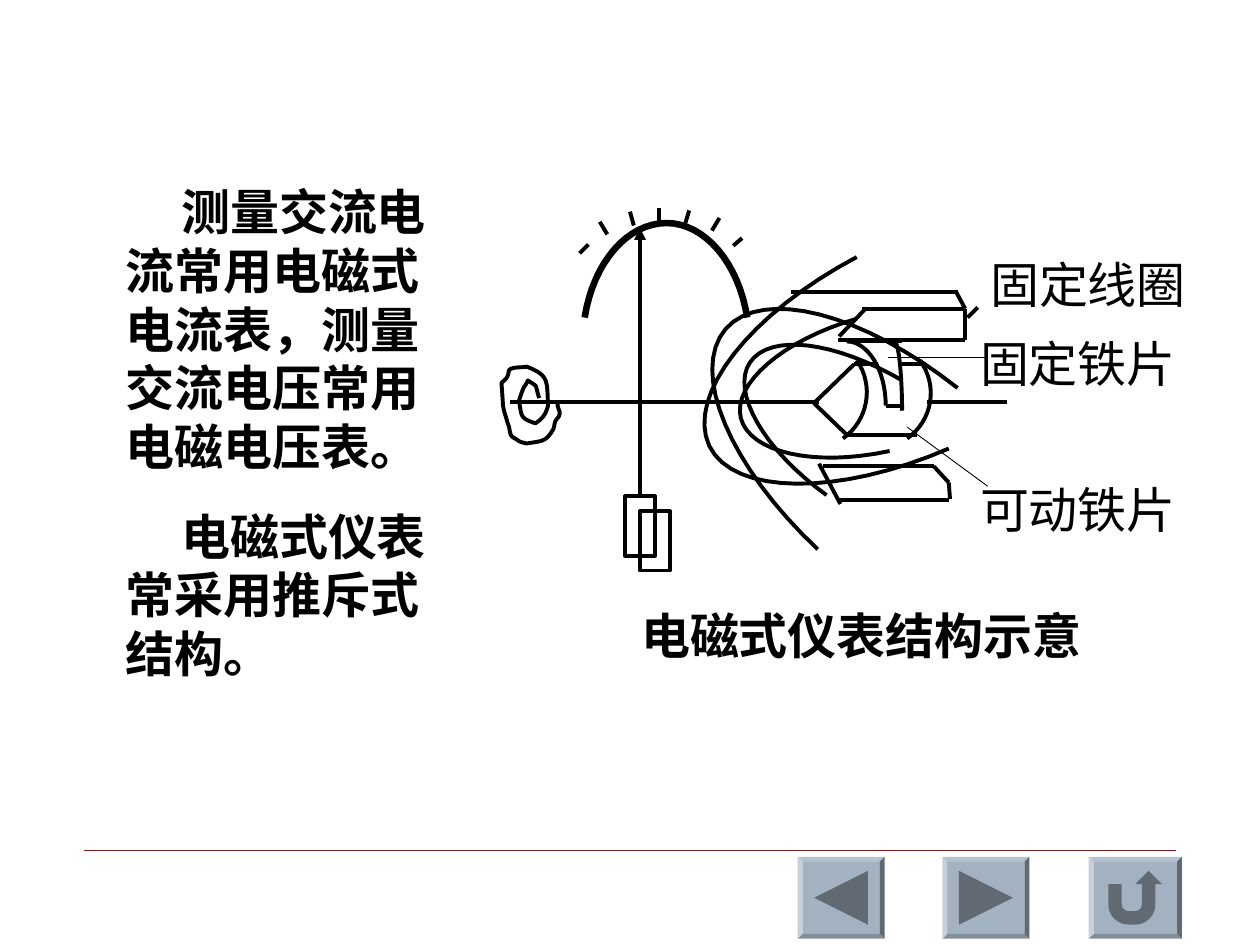
import pptx
import pptx.util
import pptx.dml.color
import pptx.enum.shapes
import pptx.oxml
import pptx.oxml.ns

SHAPE = pptx.enum.shapes.MSO_SHAPE
COLORS = {"ink": "000000", "rule": "CC0000", "button": "A3B2C1"}
CELL = pptx.util.Inches(0.01)  # the slide is a grid of 1000 columns by 750 rows
BOLD_LINE = 2.25

TICKS = [(63, 5, 63, 16), (87, 7, 84, 17), (111, 13, 105, 23), (16, 16, 22, 26),
         (40, 8, 43, 19), (0, 41, 7, 34), (129, 29, 122, 35)]
SCALE_ARC = [(4, 92), (11, 48), (38, 17), (69, 17), (99, 17), (126, 48), (133, 92)]

COIL_LOOPS = [
    [(203, 156), (115, 194), (32, 193), (13, 154), (-6, 114), (45, 49), (130, 4)],
    [(99, 236), (29, 170), (-3, 95), (26, 61), (55, 28), (134, 48), (210, 108)],
    [(106, 193), (56, 157), (30, 111), (45, 88), (61, 64), (113, 71), (166, 102)],
    [(156, 158), (96, 171), (45, 159), (38, 132), (31, 105), (71, 70), (130, 53)],
]
COIL_ENDS = [(100, 168, 117, 200), (116, 67, 136, 46), (115, 70, 216, 70),
             (134, 45, 216, 45), (216, 45, 216, 70), (78, 32, 210, 32),
             (216, 45, 209, 32), (115, 197, 203, 197), (103, 170, 191, 170),
             (191, 170, 203, 183), (203, 183, 204, 196)]
IRON_ARCS = [
    [(130, 86), (144, 106), (139, 134), (119, 148)],
    [(180, 86), (195, 106), (190, 134), (170, 148)],
    [(160, 71), (163, 71), (166, 96), (166, 126)],
    [(122, 71), (139, 71), (153, 94), (153, 122)],
]
IRON_EDGES = [(122, 145, 178, 145), (96, 120, 122, 145), (96, 120, 128, 89),
              (153, 122, 166, 122), (128, 71, 166, 71), (128, 89, 147, 89),
              (166, 89, 185, 89)]
SPRING = [
    (30, 25), (26, 13), (30, 17), (21, 11), (20, 13), (19, 15), (18, 16),
    (16, 20), (14, 27), (14, 27), (16, 40), (15, 41), (27, 45),
    (33, 41), (35, 38), (37, 31), (36, 11), (38, 7), (20, 0),
    (16, 1), (11, 0), (7, 2), (5, 3), (6, 6), (5, 7), (4, 10), (2, 11), (0, 13),
    (2, 37), (0, 28), (5, 45), (7, 49), (6, 54), (9, 56),
    (16, 60), (12, 59), (20, 61), (32, 59), (35, 60), (41, 50),
    (42, 48), (42, 45), (43, 43), (44, 41), (46, 40), (46, 38),
    (47, 36), (45, 34), (45, 32), (44, 31), (45, 29), (45, 27),
]


def rgb(name):
    return pptx.dml.color.RGBColor.from_string(COLORS[name])


def add_xml(parent, xml):
    ns = pptx.oxml.ns.nsdecls("a")
    parent.append(pptx.oxml.parse_xml(xml.replace(">", f" {ns}>", 1)))


def draw_line(s, box, ends, width=BOLD_LINE, color="ink", arrow=False):
    """Straight line whose ends are counted in cells from the box's corner."""
    x, y = box[:2]
    x1, y1, x2, y2 = ends
    c = s.shapes.add_connector(
        pptx.enum.shapes.MSO_CONNECTOR.STRAIGHT,
        (x + x1) * CELL, (y + y1) * CELL, (x + x2) * CELL, (y + y2) * CELL)
    c.line.color.rgb = rgb(color)
    c.line.width = pptx.util.Pt(width)
    if arrow:
        add_xml(c.line._get_or_add_ln(), '<a:tailEnd type="triangle"></a:tailEnd>')
    add_xml(c._element.spPr, "<a:effectLst></a:effectLst>")
    return c


def cubic_points(points, steps=16):
    """Points along joined cubic curves: a start, then triples."""
    for i in range(0, len(points) - 1, 3):
        for n in range(1, steps + 1):
            t = n / steps
            weights = ((1 - t) ** 3, 3 * t * (1 - t) ** 2, 3 * t * t * (1 - t), t ** 3)
            yield tuple(sum(w * p[axis] for w, p in zip(weights, points[i:i + 4]))
                        for axis in (0, 1))


def draw_curve(s, box, points, width=BOLD_LINE):
    x, y = box[:2]
    start_x, start_y = points[0]
    fb = s.shapes.build_freeform((x + start_x) * CELL, (y + start_y) * CELL)
    fb.add_line_segments([((x + px) * CELL, (y + py) * CELL)
                          for px, py in cubic_points(points)], close=False)
    sp = fb.convert_to_shape()
    sp.shadow.inherit = False
    sp.fill.background()
    sp.line.color.rgb = rgb("ink")
    sp.line.width = pptx.util.Pt(width)


def add_shape(s, kind, box):
    sp = s.shapes.add_shape(kind, *(v * CELL for v in box))
    sp.shadow.inherit = False
    return sp


def add_text(s, box, text, size=28, bold=False, indent=0, gap=17.5):
    tf = s.shapes.add_textbox(*(v * CELL for v in box)).text_frame
    tf.word_wrap = True
    for i, line in enumerate(text.split("\n")):
        p = tf.paragraphs[0] if i == 0 else tf.add_paragraph()
        if i:
            p.space_before = pptx.util.Pt(gap)
        if indent:
            p._p.get_or_add_pPr().set("indent", str(indent * CELL))
        r = p.add_run()
        r.text = line
        r.font.name = "Arial"
        r.font.size = pptx.util.Pt(size)
        r.font.bold = bold
        r.font.color.rgb = rgb("ink")


def dial(s, box):
    """Scale with its ticks, the needle and the counterweight."""
    draw_curve(s, box, SCALE_ARC, width=3.75)
    for tick in TICKS:
        draw_line(s, box, tick)
    weight = add_shape(s, SHAPE.RECTANGLE, (box[0] + 36, box[1] + 234, 24, 47))
    weight.fill.background()
    weight.line.color.rgb = rgb("ink")
    weight.line.width = pptx.util.Pt(BOLD_LINE)
    add_xml(weight._element.spPr.find(pptx.oxml.ns.qn("a:effectLst")),
            '<a:outerShdw dist="153670" dir="2700000" algn="ctr" rotWithShape="0">'
            f'<a:srgbClr val="{COLORS["ink"]}"/></a:outerShdw>')
    needle = draw_line(s, box, (48, 234, 48, 21), arrow=True)
    needle.begin_connect(weight, 0)


def coil(s, box):
    """Fixed coil around the fixed and the moving iron."""
    for curve in COIL_LOOPS + IRON_ARCS:
        draw_curve(s, box, curve)
    for edge in COIL_ENDS + IRON_EDGES:
        draw_line(s, box, edge)


def spindle(s, box):
    draw_line(s, box, (252, 28, 7, 28), width=2)
    draw_line(s, box, (338, 28, 401, 28), width=2)
    draw_curve(s, box, SPRING)


def labels(s, box):
    """Names of the parts, each with its leader line."""
    for text, x, y, leader, width in [
            ("固定线圈", 71, 0, (63, 55, 71, 47), BOLD_LINE),
            ("固定铁片", 63, 63, (0, 87, 79, 87), 0.5),
            ("可动铁片", 63, 179, (15, 142, 79, 189), 0.5)]:
        draw_line(s, box, leader, width=width)
        add_text(s, (box[0] + x, box[1] + y, 180, 57), text)


def navigation(s, box):
    """Red rule above three bevelled buttons."""
    x, y, w, h = box
    edge = 4
    draw_line(s, box, (0, 0, w, 0), width=0.25, color="rule")
    for kind, left, width in [(SHAPE.ACTION_BUTTON_BACK_OR_PREVIOUS, 566, 69),
                              (SHAPE.ACTION_BUTTON_FORWARD_OR_NEXT, 681, 69),
                              (SHAPE.ACTION_BUTTON_RETURN, 797, 74)]:
        top, height = y + 5, h - 5
        frame = add_shape(s, SHAPE.BEVEL, (x + left, top, width, height))
        frame.adjustments[0] = edge / height
        face = add_shape(s, kind, (x + left + edge, top + edge,
                                   width - 2 * edge, height - 2 * edge))
        for sp in (frame, face):
            sp.fill.solid()
            sp.fill.fore_color.rgb = rgb("button")
            sp.line.fill.background()


def main():
    prs = pptx.Presentation()
    prs.slide_width, prs.slide_height = 1000 * CELL, 750 * CELL
    s = prs.slides.add_slide(prs.slide_layouts[6])
    navigation(s, (67, 675, 866, 70))
    add_text(s, (90, 139, 272, 455),
             "测量交流电流常用电磁式电流表，测量交流电压常用电磁电压表。\n"
             "电磁式仪表常采用推斥式结构。", bold=True, indent=44)
    dial(s, (460, 160, 134, 281))
    coil(s, (550, 200, 216, 236))
    spindle(s, (398, 291, 401, 61))
    labels(s, (705, 197, 251, 236))
    add_text(s, (499, 476, 401, 57), "电磁式仪表结构示意", bold=True)
    prs.save("out.pptx")


if __name__ == "__main__":
    main()
